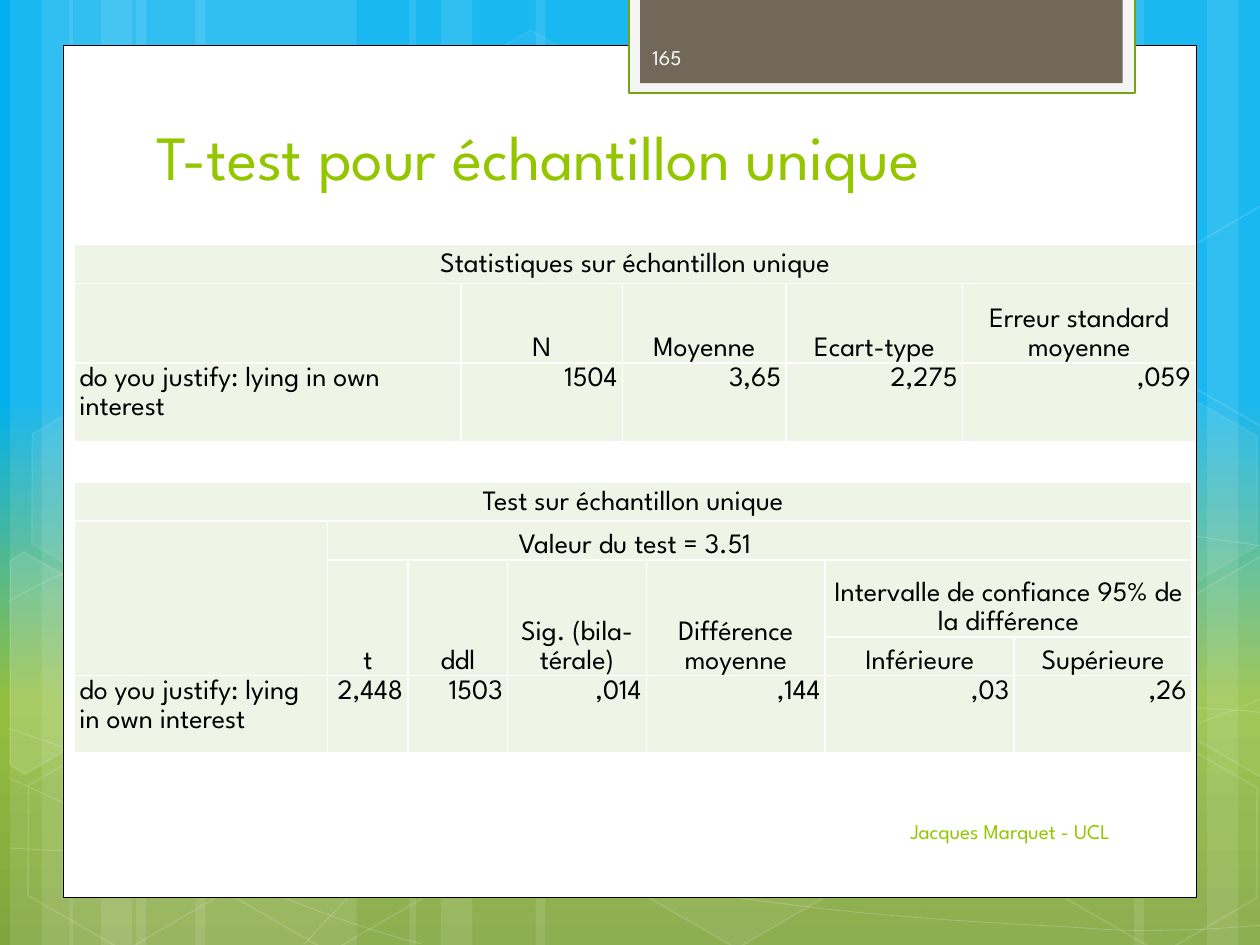
from dataclasses import dataclass, field
import math

from pptx import Presentation
from pptx import util as u
from pptx.dml.color import RGBColor
from pptx.enum import shapes, text
from pptx.oxml import parse_xml
from pptx.oxml.ns import nsdecls, qn
from lxml import etree

MID, BOTTOM, TOP = text.MSO_ANCHOR.MIDDLE, text.MSO_ANCHOR.BOTTOM, text.MSO_ANCHOR.TOP
LEFT, CENTER, RIGHT = text.PP_ALIGN.LEFT, text.PP_ALIGN.CENTER, text.PP_ALIGN.RIGHT


@dataclass(frozen=True)
class Theme:
    font: str = "League Spartan"
    white: str = "FFFFFF"
    black: str = "000000"
    green: str = "94C600"
    frame: str = "74A510"
    tab: str = "F5F5F5"
    brown: str = "71685A"
    number: str = "FEFEFE"
    cell: str = "EEF5E7"
    sky: tuple = ((0, "00B0F0"), (42, "00B0F0"), (74, "93BF3F"), (100, "81A53E"))
    title: int = 36
    body: int = 16
    small: int = 12


@dataclass
class Cell:
    row: int
    col: int
    words: str = ""
    align: int = CENTER
    anchor: int = BOTTOM
    rows: int = 1
    cols: int = 1
    right: float = 0.04


@dataclass
class Grid:
    left: float
    top: float
    widths: list
    heights: list
    cells: list = field(default_factory=list)


@dataclass
class Hexagon:
    left: float
    top: float
    fill_alpha: int
    line_alpha: int


@dataclass
class CutHexagon:
    center: tuple
    points: list
    fill_alpha: int


T = Theme()
TILT = 30
BANDS = [(1.08, 1.75), (0.08, 0.5), (0.33, 0.83), (1.55, 1.75), (0.55, 0.5), (0.8, 0.83),
         (7.33, 1.75), (9.58, 0.5), (9, 0.83), (4.25, 3.08), (3.25, 0.5), (3.5, 0.83)]
CURVES = [
    [(0.07, 6.73), (0.61, 6.76), (1.15, 6.79), (1.9, 6.78), (2.65, 6.77), (3.58, 6.75), (4.58, 6.65),
     (5.58, 6.55), (7, 6.36), (7.92, 6.17), (8.83, 5.98), (9.77, 5.68), (10.07, 5.51)],
    [(0.07, 4.77), (0.36, 4.61), (0.65, 4.46), (1.21, 4.31), (1.78, 4.16), (2.59, 3.94), (3.47, 3.87),
     (4.36, 3.8), (5.44, 3.79), (6.54, 3.87), (7.64, 3.95), (9.47, 4.26), (10.07, 4.34)],
    [(0.06, 6.17), (1.27, 6.72), (2.47, 7.27), (3.34, 7.49)],
    [(0.07, 5.78), (0.38, 5.89), (0.7, 6), (1.28, 6.16), (1.86, 6.31), (2.73, 6.56), (3.57, 6.73),
     (4.4, 6.9), (5.45, 7.08), (6.28, 7.18), (7.11, 7.29), (8, 7.33), (8.53, 7.36),
     (9.05, 7.4), (9.19, 7.38), (9.45, 7.38), (9.71, 7.37), (9.89, 7.35), (10.07, 7.34)],
    [(2.42, 7.49), (2.6, 7.29), (2.78, 7.09), (3.02, 6.91), (3.26, 6.73), (3.6, 6.53), (3.88, 6.39),
     (4.16, 6.25), (4.33, 6.19), (4.7, 6.09), (5.06, 5.99), (5.73, 5.85), (6.08, 5.78),
     (6.44, 5.71), (6.49, 5.71), (6.8, 5.69), (7.11, 5.66), (7.6, 5.63), (7.94, 5.62),
     (8.29, 5.61), (8.86, 5.62), (8.86, 5.62), (9.08, 5.62), (9.31, 5.62), (9.53, 5.62),
     (9.71, 5.63), (9.88, 5.64), (9.97, 5.65), (10.06, 5.66), (10.03, 5.65), (10.06, 5.66)],
]
HEXAGONS = [Hexagon(3.34, 0.36, 4, 8), Hexagon(4.97, 5.89, 6, 12), Hexagon(0.11, 5.91, 0, 12),
            Hexagon(0.14, 3.12, 7, 8), Hexagon(1.74, 5.92, 0, 12), Hexagon(7.53, 4.53, 10, 12),
            Hexagon(8.34, 5.93, 0, 12), Hexagon(8.34, 3.14, 7, 8)]
CUT_HEXAGONS = [
    CutHexagon((0.36, 5.35), [(0.08, 4.45), (0.19, 4.38), (0.96, 4.82),
                              (0.95, 5.7), (0.2, 6.14), (0.08, 6.07)], 10),
    CutHexagon((9.85, 5.2), [(9.26, 4.85), (10.01, 4.41), (10.09, 4.46),
                             (10.09, 6.13), (10.02, 6.17), (9.26, 5.73)], 4),
    CutHexagon((9.85, 2.41), [(9.26, 2.07), (10.01, 1.63), (10.1, 1.68),
                              (10.09, 3.35), (10.02, 3.39), (9.26, 2.95)], 0),
]


def value_cells(row: int, label: str, values: list) -> list:
    return [Cell(row, 0, label, LEFT, TOP)] + [
        Cell(row, c, v, RIGHT, TOP) for c, v in enumerate(values, 1)]


LABEL = "do you justify: lying in own interest"
STATISTICS = Grid(0.59, 1.94, [3.07, 1.28, 1.3, 1.4, 1.85], [0.31, 0.63, 0.63], [
    Cell(0, 0, "Statistiques sur échantillon unique", anchor=MID, cols=5), Cell(1, 0),
    *[Cell(1, c, w) for c, w in enumerate(["N", "Moyenne", "Ecart-type", "Erreur standard moyenne"], 1)],
    *value_cells(2, LABEL, ["1504", "3,65", "2,275", ",059"])])
TEST = Grid(0.59, 3.83, [2.01, 0.64, 0.79, 1.1, 1.42, 1.5, 1.41], [0.29, 0.29, 0.59, 0.29, 0.59], [
    Cell(0, 0, "Test sur échantillon unique", anchor=MID, cols=7), Cell(1, 0, rows=3),
    Cell(1, 1, "Valeur du test = 3.51", cols=6, right=2.02),
    *[Cell(2, c, w, rows=2) for c, w in enumerate(["t", "ddl", "Sig. (bila-térale)", "Différence moyenne"], 1)],
    Cell(2, 5, "Intervalle de confiance 95% de la différence", cols=2),
    Cell(3, 5, "Inférieure"), Cell(3, 6, "Supérieure"),
    *value_cells(4, LABEL, ["2,448", "1503", ",014", ",144", ",03", ",26"])])


def paint(fill, color: str, alpha: int = 100) -> None:
    if not alpha:
        fill.background()
        return
    fill.solid()
    fill.fore_color.rgb = RGBColor.from_string(color)
    if alpha < 100:
        srgb = fill._xPr.find(qn("a:solidFill"))[0]
        etree.SubElement(srgb, qn("a:alpha")).set("val", str(alpha * 1000))


def style(sp, color: str, alpha: int = 100, line: str = T.white, width: float = 0, line_alpha: int = 100) -> None:
    sp.shadow.inherit = False
    paint(sp.fill, color, alpha)
    paint(sp.line.fill, line, line_alpha if width else 0)
    if width:
        sp.line.width = u.Pt(width)


def add_shape(s, kind, box: tuple, color: str, **fmt):
    sp = s.shapes.add_shape(kind, *map(u.Inches, box))
    style(sp, color, **fmt)
    return sp


def add_path(s, points: list, closed: bool, **fmt):
    emu = [(u.Inches(x), u.Inches(y)) for x, y in points]
    fb = s.shapes.build_freeform(*emu[0])
    fb.add_line_segments(emu[1:], close=closed)
    sp = fb.convert_to_shape()
    style(sp, T.white, **fmt)
    return sp


def add_curve(s, points: list) -> None:
    sp = add_path(s, points, False, alpha=0, width=0.5, line_alpha=20)
    outline = next(sp._element.iter(qn("a:path")))
    lines = outline.findall(qn("a:lnTo"))
    for i in range(0, len(lines), 3):
        cubic = etree.SubElement(outline, qn("a:cubicBezTo"))
        for line in lines[i:i + 3]:
            cubic.append(line[0])
            outline.remove(line)


def add_cut_hexagon(s, h: CutHexagon) -> None:
    cos, sin = math.cos(math.radians(TILT)), math.sin(math.radians(TILT))
    cx, cy = h.center
    upright = [(cx + (x - cx) * cos + (y - cy) * sin, cy - (x - cx) * sin + (y - cy) * cos)
               for x, y in h.points]
    add_path(s, upright, True, alpha=h.fill_alpha, width=1, line_alpha=12).rotation = TILT


def write(tf, words: str, size: int = T.body, color: str = T.black, align: int = LEFT, spacing: float = 1) -> None:
    tf.word_wrap = True
    p = tf.paragraphs[0]
    p.alignment, p.line_spacing = align, spacing
    r = p.add_run()
    r.text = words
    r.font.name, r.font.size = T.font, u.Pt(size)
    r.font.color.rgb = RGBColor.from_string(color)


def add_text(s, box: tuple, words: str, anchor: int = MID, **fmt) -> None:
    tf = s.shapes.add_textbox(*map(u.Inches, box)).text_frame
    tf.vertical_anchor = anchor
    write(tf, words, **fmt)


def add_grid(s, grid: Grid) -> None:
    size = map(u.Inches, (grid.left, grid.top, sum(grid.widths), sum(grid.heights)))
    table = s.shapes.add_table(len(grid.heights), len(grid.widths), *size).table
    table.first_row = table.horz_banding = False
    for col, width in zip(table.columns, grid.widths):
        col.width = u.Inches(width)
    for row, height in zip(table.rows, grid.heights):
        row.height = u.Inches(height)
    for cell in table.iter_cells():
        for side in "LRTB":
            cell._tc.get_or_add_tcPr().append(parse_xml(
                f'<a:ln{side} {nsdecls("a")} w="12700"><a:solidFill>'
                f'<a:srgbClr val="{T.white}"/></a:solidFill></a:ln{side}>'))
        paint(cell.fill, T.cell)
        cell.margin_top = cell.margin_bottom = 0
        cell.text_frame.paragraphs[0]._p.append(parse_xml(
            f'<a:endParaRPr {nsdecls("a")} sz="{T.body * 100}"><a:latin typeface="{T.font}"/></a:endParaRPr>'))
    for c in grid.cells:
        cell = table.cell(c.row, c.col)
        if c.rows * c.cols > 1:
            cell.merge(table.cell(c.row + c.rows - 1, c.col + c.cols - 1))
        cell.margin_left, cell.margin_right = u.Inches(0.04), u.Inches(c.right)
        cell.vertical_anchor = c.anchor
        if c.words:
            write(cell.text_frame, c.words, align=c.align, spacing=1.15)


def add_background(s) -> None:
    stops = "".join(f'<a:gs pos="{pos * 1000}"><a:srgbClr val="{c}"/></a:gs>' for pos, c in T.sky)
    s._element.cSld.insert(0, parse_xml(
        f'<p:bg {nsdecls("p", "a")}><p:bgPr><a:gradFill rotWithShape="1"><a:gsLst>{stops}</a:gsLst>'
        '<a:lin ang="5400000" scaled="0"/></a:gradFill><a:effectLst/></p:bgPr></p:bg>'))
    rect = shapes.MSO_SHAPE.RECTANGLE
    for left, width in BANDS:
        add_shape(s, rect, (left, 0, width, 7.5), T.white, alpha=10)
    for curve in CURVES:
        add_curve(s, curve)
    for h in HEXAGONS:
        sp = add_shape(s, shapes.MSO_SHAPE.HEXAGON, (h.left, h.top, 1.75, 1.52), T.white,
                       alpha=h.fill_alpha, width=1, line_alpha=h.line_alpha)
        sp.adjustments[0], sp.rotation = 0.285, TILT
    for h in CUT_HEXAGONS:
        add_cut_hexagon(s, h)
    add_shape(s, rect, (0.5, 0.36, 9, 6.76), T.white, line=T.black, width=0.5)
    add_shape(s, rect, (4.99, -0.02, 4.02, 0.76), T.tab, line=T.frame, width=1.25)
    add_shape(s, rect, (5.08, -0.02, 3.83, 0.68), T.brown)


def main() -> None:
    prs = Presentation()
    prs.slide_width, prs.slide_height = u.Inches(10), u.Inches(7.5)
    s = prs.slides.add_slide(prs.slide_layouts[6])
    add_background(s)
    add_text(s, (1.14, 0.84, 7.68, 0.74), "T-test pour échantillon unique", BOTTOM, size=T.title, color=T.green)
    add_grid(s, STATISTICS)
    add_text(s, (5.08, 6.4, 3.83, 0.4), "Jacques Marquet - UCL", size=T.small, color=T.green, align=RIGHT)
    add_text(s, (5.08, 0.25, 1.46, 0.4), "165", size=T.small, color=T.number)
    add_grid(s, TEST)
    prs.save("out.pptx")


if __name__ == "__main__":
    main()
